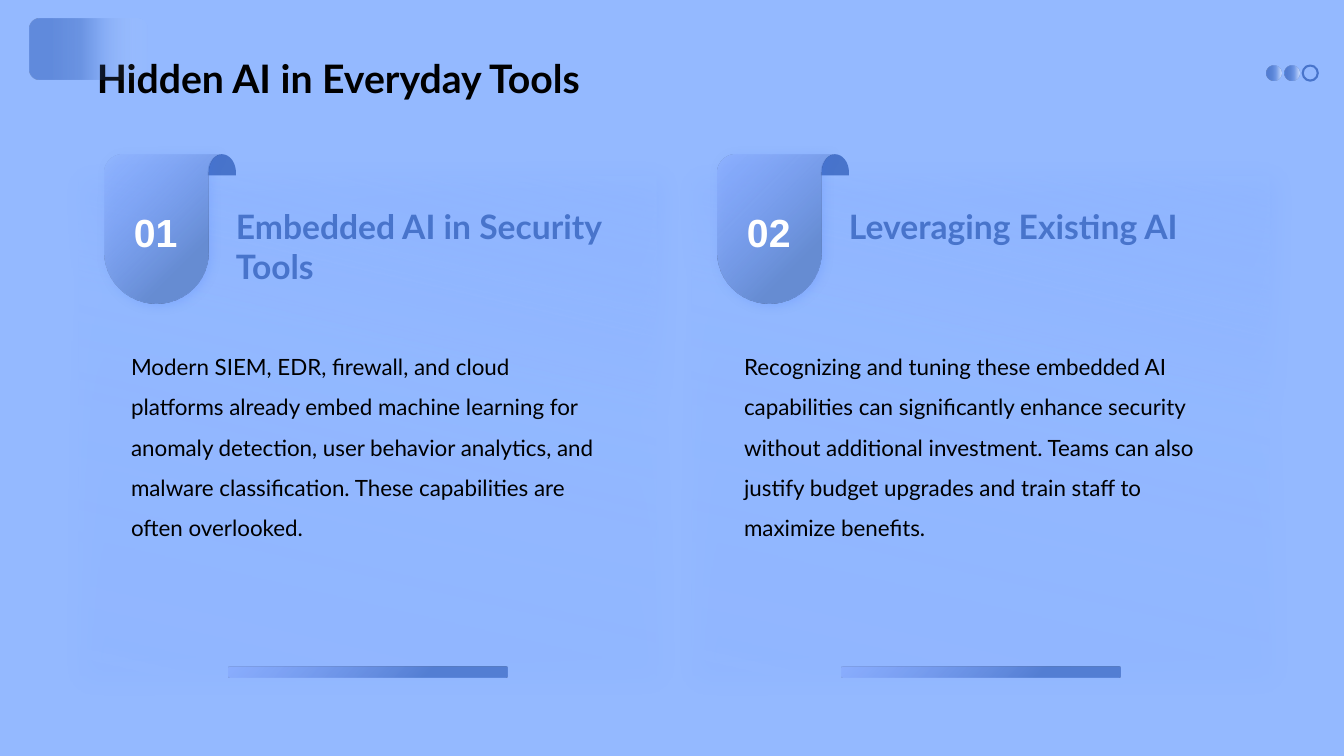
from dataclasses import dataclass
from math import cos, radians, sin
from typing import Any, NamedTuple, Optional

from lxml.etree import SubElement
from pptx import Presentation
from pptx.dml.color import RGBColor
from pptx.enum.shapes import MSO_SHAPE
from pptx.enum.text import MSO_ANCHOR, MSO_AUTO_SIZE, PP_ALIGN
from pptx.oxml.ns import qn
from pptx.util import Emu, Inches, Pt

# Grid: square cells, 75 rows over the slide height
ROWS = 75
CELL = Inches(7.5) / ROWS
CARD_PITCH = 60.8

COLORS = {"sky": "94B9FF", "blue": "4874CB", "light": "87A9FF", "steel": "678DD3",
          "shadow": "376FFF", "white": "FFFFFF", "black": "000000"}


class Box(NamedTuple):
    column: float
    row: float
    columns: float
    rows: float


class Stop(NamedTuple):
    position: int
    color: str
    opacity: int


@dataclass(frozen=True)
class Gradient:
    angle: int
    stops: list[Stop]


@dataclass(frozen=True)
class Shadow:
    opacity: int
    blur: int
    distance: int


@dataclass(frozen=True)
class Card:
    number: str
    heading: str
    body: str
    ribbon_opacity: int


CARDS = [
    Card("01", "Embedded AI in Security Tools",
         "Modern SIEM, EDR, firewall, and cloud platforms already embed machine learning for "
         "anomaly detection, user behavior analytics, and malware classification. These "
         "capabilities are often overlooked.", 18),
    Card("02", "Leveraging Existing AI",
         "Recognizing and tuning these embedded AI capabilities can significantly enhance "
         "security without additional investment. Teams can also justify budget upgrades and "
         "train staff to maximize benefits.", 40),
]


def fade(*opacities: int) -> Gradient:
    """Blue that fades to white from left to right."""
    colors = ["blue"] * 4 + ["white"]
    return Gradient(0, [Stop(*stop) for stop in zip((0, 20, 43, 63, 100), colors, opacities)])


CARD_GRADIENT = Gradient(283, [Stop(position, "sky", opacity) for position, opacity in
                               ((0, 22), (2, 22), (36, 14), (63, 6), (98, 53), (100, 53))])
BAR_GRADIENT = Gradient(45, [Stop(0, "light", 61), Stop(71, "blue", 83), Stop(100, "blue", 83)])
NO_MARGINS = dict.fromkeys(("margin_left", "margin_top", "margin_right", "margin_bottom"), 0)
NUMBER_FRAME = {"margin_left": Inches(0.05), "margin_top": Inches(0.1),
                "margin_right": Inches(0.2), "margin_bottom": Inches(0.05),
                "vertical_anchor": MSO_ANCHOR.MIDDLE, "word_wrap": True}


def cells(count: float) -> Emu:
    return Emu(round(count * CELL))


def set_values(target: Any, values: dict[str, Any]) -> None:
    for name, value in values.items():
        setattr(target, name, value)


def rgb(color: str) -> RGBColor:
    return RGBColor.from_string(COLORS[color])


def add_color(parent: Any, color: str, opacity: int) -> None:
    element = SubElement(parent, qn("a:srgbClr"), val=COLORS[color])
    SubElement(element, qn("a:alpha"), val=str(opacity * 1000))


def paint(shape: Any, fill: "Gradient | str | None", opacity: int = 100,
          shadow: Optional[Shadow] = None) -> None:
    """Fill a shape, drop its outline and set its shadow."""
    shape.line.fill.background()
    shape.shadow.inherit = False
    properties = shape._element.spPr
    if fill is None:
        shape.fill.background()
    elif isinstance(fill, str):
        shape.fill.solid()
        shape.fill.fore_color.rgb = rgb(fill)
        solid = properties.find(qn("a:solidFill"))
        SubElement(solid[0], qn("a:alpha"), val=str(opacity * 1000))
    else:
        shape.fill.background()
        gradient = properties.find(qn("a:noFill"))
        gradient.tag = qn("a:gradFill")
        stops = SubElement(gradient, qn("a:gsLst"))
        for stop in fill.stops:
            element = SubElement(stops, qn("a:gs"), pos=str(stop.position * 1000))
            add_color(element, stop.color, stop.opacity)
        SubElement(gradient, qn("a:lin"), ang=str(fill.angle * 60000), scaled="0")
    if shadow:
        outer = SubElement(properties.find(qn("a:effectLst")), qn("a:outerShdw"),
                           blurRad=str(Pt(shadow.blur)), dist=str(Pt(shadow.distance)),
                           dir=str(45 * 60000), algn="tl", rotWithShape="0")
        add_color(outer, "shadow", shadow.opacity)


def add_preset(slide: Any, kind: MSO_SHAPE, box: Box, fill: "Gradient | str | None",
               **finish: Any) -> Any:
    shape = slide.shapes.add_shape(kind, *map(cells, box))
    paint(shape, fill, **finish)
    return shape


def arc(column: float, row: float, radius_x: float, radius_y: float,
        start: int, end: int) -> list[tuple[float, float]]:
    """Points on an ellipse, clockwise angles in degrees from the right."""
    angles = [radians(start + (end - start) * step / 24) for step in range(25)]
    return [(column + radius_x * cos(a), row + radius_y * sin(a)) for a in angles]


def add_outline(slide: Any, points: list[tuple[float, float]], fill: "Gradient | str",
                **finish: Any) -> Any:
    first, *others = [(cells(column), cells(row)) for column, row in points]
    builder = slide.shapes.build_freeform(*first)
    builder.add_line_segments(others, close=True)
    shape = builder.convert_to_shape()
    paint(shape, fill, **finish)
    return shape


def write(shape: Any, text: str, size: int, color: str, frame: dict[str, Any], bold: bool = True,
          font: str = "Lato", **layout: Any) -> None:
    set_values(shape.text_frame, {"text": text, **frame})
    paragraph = shape.text_frame.paragraphs[0]
    set_values(paragraph, {"alignment": PP_ALIGN.LEFT, **layout})
    set_values(paragraph.font, {"name": font, "size": Pt(size), "bold": bold})
    paragraph.font.color.rgb = rgb(color)


def add_card(slide: Any, card: Card, left: float) -> None:
    # Panel: soft gradient with a flat veil on top
    add_preset(slide, MSO_SHAPE.RECTANGLE, Box(left, 17.5, 57.3, 49.5), CARD_GRADIENT,
               shadow=Shadow(15, 17, 4))
    add_preset(slide, MSO_SHAPE.RECTANGLE, Box(left, 17.4, 57.3, 49.5), "sky", opacity=20)

    # Curl behind the ribbon, and the bar at the foot
    add_outline(slide, [(left + 12.8, 17.4), *arc(left + 14.2, 17.1, 1.4, 1.8, 180, 360),
                        (left + 15.6, 17.4)], "blue")
    bar = add_preset(slide, MSO_SHAPE.ROUNDED_RECTANGLE, Box(left + 14.9, 66.1, 27.6, 1.1),
                     BAR_GRADIENT)
    bar.adjustments[0] = 0.17

    # Numbered ribbon
    ribbon_gradient = Gradient(45, [Stop(0, "light", card.ribbon_opacity),
                                    Stop(71, "steel", 100), Stop(100, "steel", 100)])
    ribbon = add_outline(slide, [*arc(left + 4.4, 17.1, 1.8, 1.8, 180, 270),
                                 *arc(left + 14.2, 17.1, 1.3, 1.8, 270, 180),
                                 *arc(left + 7.75, 25, 5.15, 5.1, 0, 180)],
                         ribbon_gradient, shadow=Shadow(20, 8, 2))
    write(ribbon, card.number, 28, "white", NUMBER_FRAME, font="Arial",
          alignment=PP_ALIGN.CENTER)

    # Heading and body
    frame = {**NO_MARGINS, "word_wrap": True}
    heading = slide.shapes.add_textbox(*map(cells, Box(left + 15.6, 20.4, 36.5, 9.8)))
    write(heading, card.heading, 24, "blue", frame)
    body = slide.shapes.add_textbox(*map(cells, Box(left + 5.2, 33.7, 46.9, 29.8)))
    write(body, card.body, 16, "black", frame, bold=False, line_spacing=1.5)


def main() -> None:
    presentation = Presentation()
    set_values(presentation, {"slide_width": Inches(13.33), "slide_height": cells(ROWS)})
    slide = presentation.slides.add_slide(presentation.slide_layouts[5])
    slide.background.fill.solid()
    slide.background.fill.fore_color.rgb = rgb("sky")

    # Title and its corner accent
    title = slide.shapes.title
    set_values(title, dict(zip(("left", "top", "width", "height"),
                               map(cells, Box(8.6, 4.3, 74.2, 6.8)))))
    write(title, "Hidden AI in Everyday Tools", 28, "black",
          {"vertical_anchor": MSO_ANCHOR.MIDDLE, "auto_size": MSO_AUTO_SIZE.NONE})
    accent = add_preset(slide, MSO_SHAPE.ROUNDED_RECTANGLE, Box(2.9, 1.8, 11.7, 6.1),
                        fade(65, 65, 54, 17, 0))
    accent.adjustments[0] = 0.17

    # Row of dots, the last one a ring
    dot_fill = fade(84, 84, 72, 47, 48)
    for index, fill in enumerate((dot_fill, dot_fill, None)):
        dot = add_preset(slide, MSO_SHAPE.OVAL, Box(125.6 + 1.8 * index, 6.5, 1.5, 1.5), fill)
    dot.line.color.rgb = rgb("blue")
    dot.line.width = Pt(1.5)

    for index, card in enumerate(CARDS):
        add_card(slide, card, 7.8 + CARD_PITCH * index)
    presentation.save("out.pptx")


if __name__ == "__main__":
    main()
